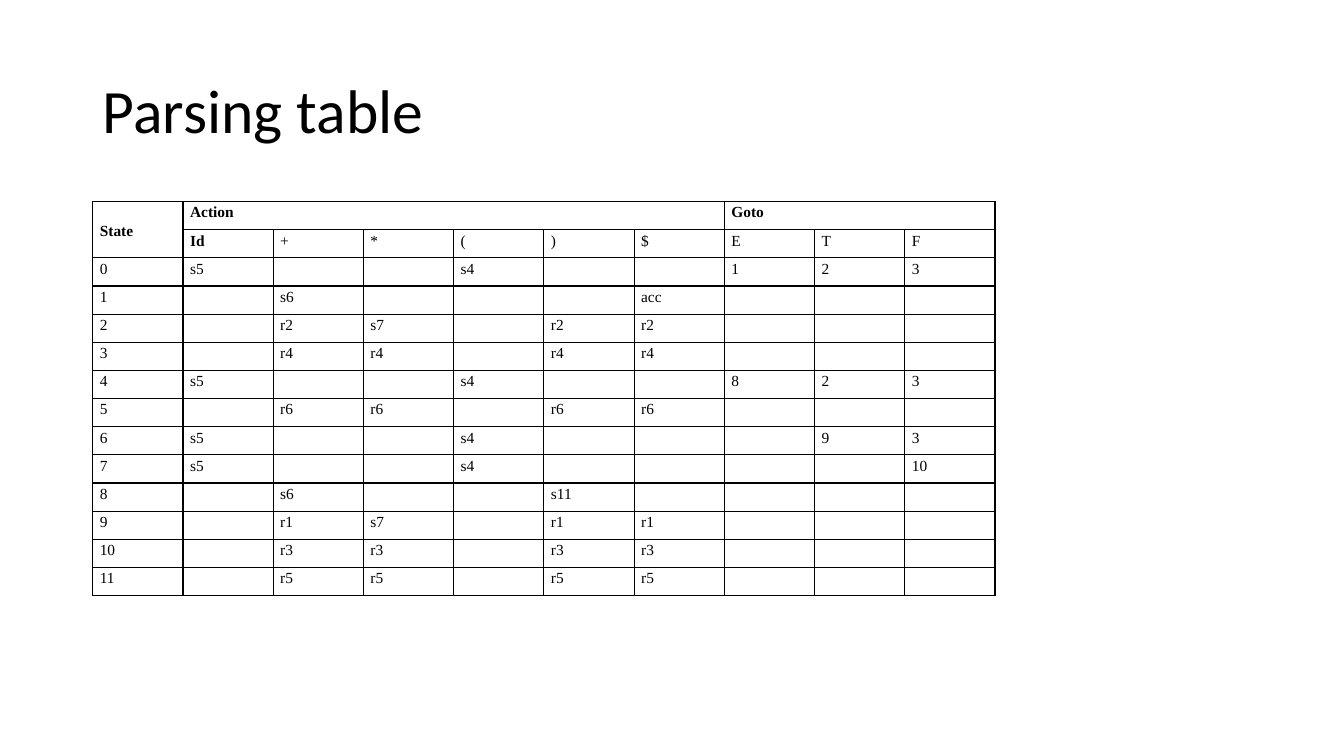
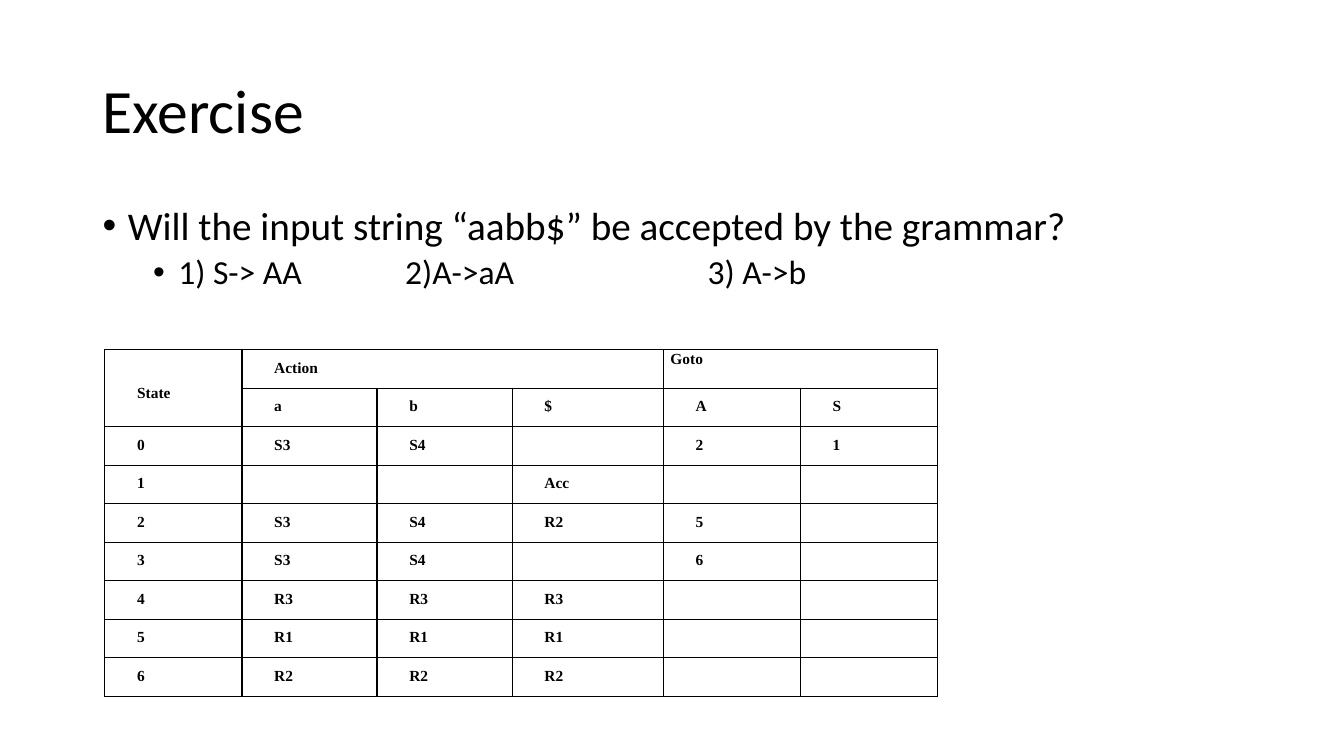
from dataclasses import dataclass
from lxml import etree
from pptx import Presentation
from pptx.dml.color import RGBColor
from pptx.enum.text import MSO_ANCHOR, PP_ALIGN
from pptx.oxml.ns import qn
from pptx.util import Inches, Pt

MIDDLE = MSO_ANCHOR.MIDDLE
TOP = MSO_ANCHOR.TOP
JUSTIFY = PP_ALIGN.JUSTIFY
LEFT = PP_ALIGN.LEFT


@dataclass(frozen=True)
class Theme:
    text: str = "000000"
    border: str = "000000"
    border_width: float = 1
    sans: str = "Calibri"
    serif: str = "Times New Roman"
    title_size: int = 44
    body_sizes: tuple = (28, 24)
    table_size: int = 11


THEME = Theme()

# Content: table spans are (row, column, rows, columns)
PARSING = {
    "at": (0.92, 2, 8.95, 3.91),
    "widths": [0.895] * 10,
    "spans": [(0, 0, 2, 1), (0, 1, 1, 6), (0, 7, 1, 3)],
    "bold": {"State", "Action", "Goto", "Id"},
    "plain": set(),
    "margin_top": 0,
    "style": {"align": JUSTIFY, "line": 1.15},
    "rows": [
        ("State", "Action", "", "", "", "", "", "Goto", "", ""),
        ("", "Id", "+", "*", "(", ")", "$", "E", "T", "F"),
        ("0", "s5", "", "", "s4", "", "", "1", "2", "3"),
        ("1", "", "s6", "", "", "", "acc", "", "", ""),
        ("2", "", "r2", "s7", "", "r2", "r2", "", "", ""),
        ("3", "", "r4", "r4", "", "r4", "r4", "", "", ""),
        ("4", "s5", "", "", "s4", "", "", "8", "2", "3"),
        ("5", "", "r6", "r6", "", "r6", "r6", "", "", ""),
        ("6", "s5", "", "", "s4", "", "", "", "9", "3"),
        ("7", "s5", "", "", "s4", "", "", "", "", "10"),
        ("8", "", "s6", "", "", "s11", "", "", "", ""),
        ("9", "", "r1", "s7", "", "r1", "r1", "", "", ""),
        ("10", "", "r3", "r3", "", "r3", "r3", "", "", ""),
        ("11", "", "r5", "r5", "", "r5", "r5", "", "", ""),
    ],
}

EXERCISE_ROWS = [
    ("State", "Action", "", "", "Goto", ""),
    ("", "a", "b", "$", "A", "S"),
    ("0", "S3", "S4", "", "2", "1"),
    ("1", "", "", "Acc", "", ""),
    ("2", "S3", "S4", "R2", "5", ""),
    ("3", "S3", "S4", "", "6", ""),
    ("4", "R3", "R3", "R3", "", ""),
    ("5", "R1", "R1", "R1", "", ""),
    ("6", "R2", "R2", "R2", "", ""),
]
EXERCISE = {
    "at": (1.04, 3.47, 8.25, 3.44),
    "widths": [1.36, 1.34, 1.34, 1.5, 1.36, 1.36],
    "spans": [(0, 0, 2, 1), (0, 1, 1, 3), (0, 4, 1, 2)],
    "bold": {text for row in EXERCISE_ROWS for text in row},
    "plain": {"Goto"},
    "margin_top": 0.01,
    "style": {"line": 1.5, "before": 12, "after": 10, "indent": (0.25, 0)},
    "rows": EXERCISE_ROWS,
}

SLIDES = [
    {"title": "Parsing table", "bullets": [], "table": PARSING},
    {
        "title": "Exercise",
        "bullets": [
            (0, "Will the input string “aabb$” be accepted by the grammar?"),
            (1, "1) S-> AA\t\t2)A->aA\t\t3) A->b"),
        ],
        "table": EXERCISE,
    },
]


# Text
def set_font(paragraph, name, size, bold=False):
    font = paragraph.font
    font.name, font.size, font.bold = name, Pt(size), bold
    font.color.rgb = RGBColor.from_string(THEME.text)


def set_spacing(paragraph, align=LEFT, line=1.0, before=0, after=0, indent=(0, 0)):
    paragraph.alignment = align
    paragraph.line_spacing = line
    paragraph.space_before = Pt(before)
    paragraph.space_after = Pt(after)
    properties = paragraph._p.get_or_add_pPr()
    properties.set("marL", str(Inches(indent[0])))
    properties.set("indent", str(Inches(indent[1])))


def add_bullet(paragraph):
    properties = paragraph._p.get_or_add_pPr()
    properties.set("defTabSz", str(Inches(1)))
    bullet_font = etree.Element(qn("a:buFont"), typeface="Arial")
    bullet = etree.Element(qn("a:buChar"), char="•")
    position = properties.index(properties.find(qn("a:defRPr")))
    properties[position:position] = [bullet_font, bullet]


def add_text_frame(slide, top, height, anchor):
    box = slide.shapes.add_textbox(Inches(0.92), Inches(top), Inches(11.5), Inches(height))
    frame = box.text_frame
    frame.word_wrap = True
    frame.vertical_anchor = anchor
    return frame


def add_title(slide, text):
    paragraph = add_text_frame(slide, 0.4, 1.45, MIDDLE).paragraphs[0]
    paragraph.text = text
    set_spacing(paragraph, line=0.9)
    set_font(paragraph, THEME.sans, THEME.title_size)


def add_bullets(slide, bullets):
    frame = add_text_frame(slide, 2, 4.76, TOP)
    for number, (level, text) in enumerate(bullets):
        paragraph = frame.add_paragraph() if number else frame.paragraphs[0]
        paragraph.text = text
        paragraph.level = level
        set_spacing(paragraph, line=0.9, before=(10, 5)[level],
                    indent=(0.25 + 0.5 * level, -0.25))
        set_font(paragraph, THEME.sans, THEME.body_sizes[level])
        add_bullet(paragraph)


# Tables
def set_borders(cell):
    properties = cell._tc.get_or_add_tcPr()
    for position, side in enumerate(("lnL", "lnR", "lnT", "lnB")):
        line = etree.Element(qn(f"a:{side}"), w=str(Pt(THEME.border_width)))
        fill = etree.SubElement(line, qn("a:solidFill"))
        etree.SubElement(fill, qn("a:srgbClr"), val=THEME.border)
        properties.insert(position, line)


def fill_cell(cell, text, content):
    cell.margin_left = cell.margin_right = Inches(0.07)
    cell.margin_top = Inches(content["margin_top"])
    cell.margin_bottom = 0
    cell.vertical_anchor = MIDDLE if text == "State" else TOP
    cell.fill.background()
    set_borders(cell)
    paragraph = cell.text_frame.paragraphs[0]
    set_font(paragraph, THEME.serif, THEME.table_size, text in content["bold"])
    if text:
        paragraph.text = text
        set_spacing(paragraph, **({} if text in content["plain"] else content["style"]))
    else:
        # An empty paragraph takes its height from its end mark
        etree.SubElement(paragraph._p, qn("a:endParaRPr"), sz=str(THEME.table_size * 100))


def add_grid(slide, content):
    rows, widths = content["rows"], content["widths"]
    left, top, width, height = map(Inches, content["at"])
    table = slide.shapes.add_table(len(rows), len(widths), left, top, width, height).table
    table.first_row = table.horz_banding = False
    for column, column_width in zip(table.columns, widths):
        column.width = Inches(column_width)
    for row_number, row in enumerate(rows):
        table.rows[row_number].height = height // len(rows)
        for column_number, text in enumerate(row):
            fill_cell(table.cell(row_number, column_number), text, content)
    for row, column, row_count, column_count in content["spans"]:
        last = table.cell(row + row_count - 1, column + column_count - 1)
        table.cell(row, column).merge(last)


def main():
    presentation = Presentation()
    presentation.slide_width = Inches(13.33)
    presentation.slide_height = Inches(7.5)
    for content in SLIDES:
        slide = presentation.slides.add_slide(presentation.slide_layouts[6])
        add_title(slide, content["title"])
        if content["bullets"]:
            add_bullets(slide, content["bullets"])
        add_grid(slide, content["table"])
    presentation.save("out.pptx")


if __name__ == "__main__":
    main()
